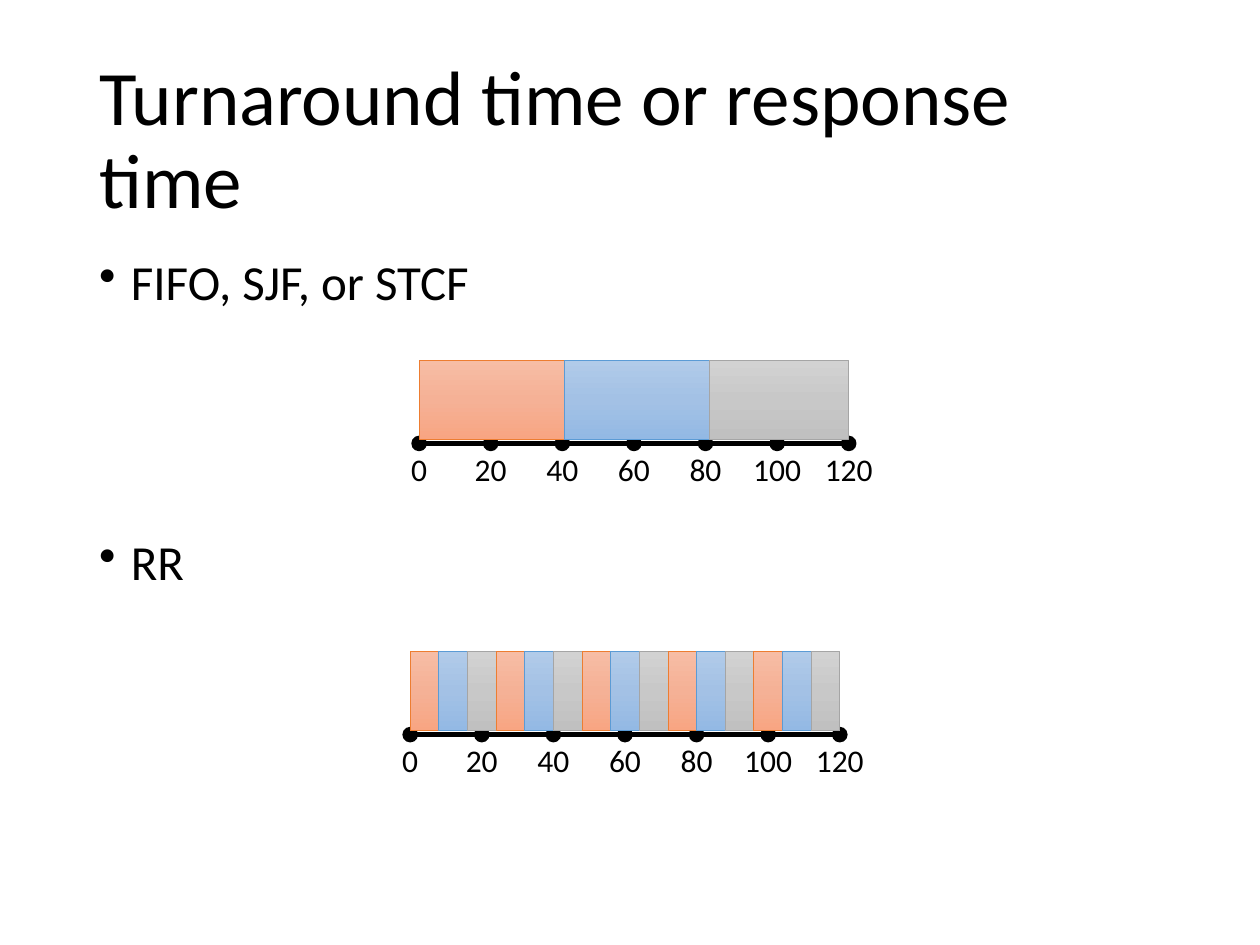
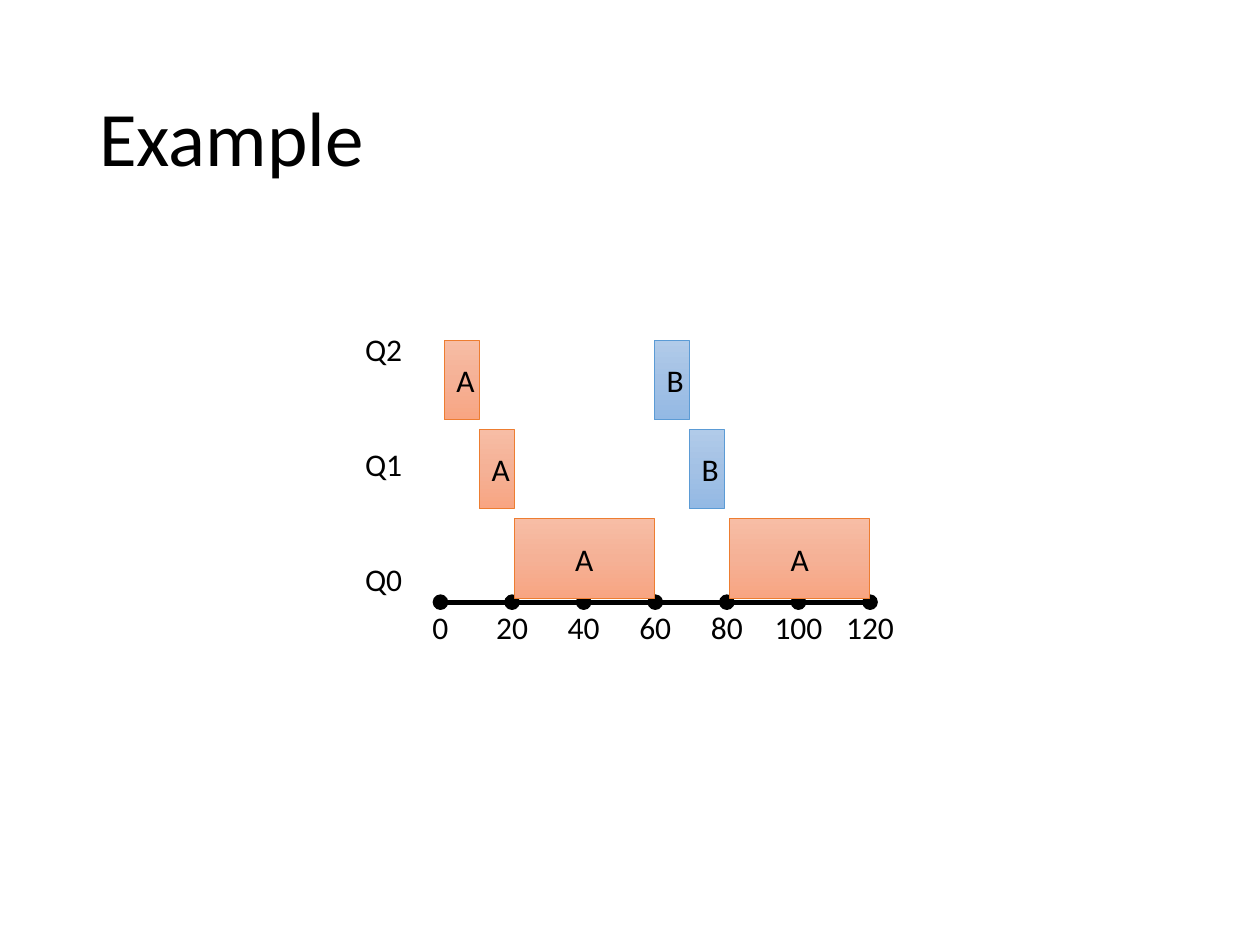
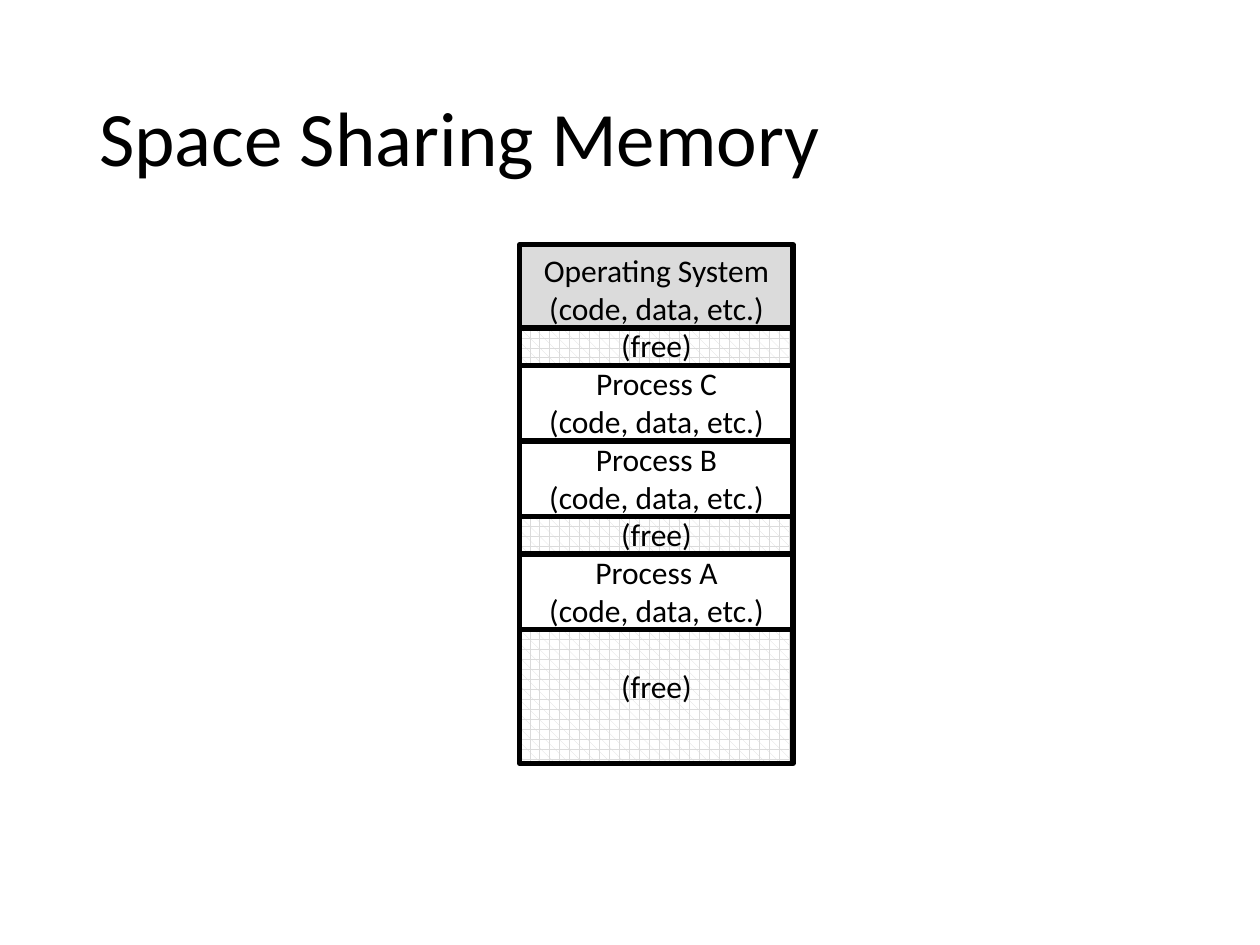
from copy import deepcopy

from lxml.etree import SubElement
from pptx import Presentation
from pptx.dml.color import RGBColor
from pptx.enum.dml import MSO_PATTERN
from pptx.enum.shapes import MSO_CONNECTOR, MSO_SHAPE
from pptx.enum.text import MSO_ANCHOR, PP_ALIGN
from pptx.oxml.ns import qn
from pptx.util import Cm, Pt

FONT = "Calibri"
BLACK = RGBColor(0x00, 0x00, 0x00)
WHITE = RGBColor(0xFF, 0xFF, 0xFF)
LIGHT_GREY = RGBColor(0xDB, 0xDB, 0xDB)
STEEL = RGBColor(0x43, 0x73, 0x9E)
ORANGE_EDGE = RGBColor(0xED, 0x7D, 0x31)
BLUE_EDGE = RGBColor(0x5B, 0x9B, 0xD5)
GREY_EDGE = RGBColor(0xA5, 0xA5, 0xA5)
ORANGE_SHADES = (RGBColor(0xF7, 0xBD, 0xA5), RGBColor(0xF5, 0xB1, 0x96), RGBColor(0xF8, 0xA5, 0x82))
BLUE_SHADES = (RGBColor(0xB1, 0xCB, 0xE9), RGBColor(0xA3, 0xC1, 0xE5), RGBColor(0x93, 0xB9, 0xE4))
GREY_SHADES = (RGBColor(0xD2, 0xD2, 0xD2), RGBColor(0xC8, 0xC8, 0xC8), RGBColor(0xC0, 0xC0, 0xC0))
JOB_STYLES = {
    "A": (ORANGE_SHADES, ORANGE_EDGE),
    "B": (BLUE_SHADES, BLUE_EDGE),
    "C": (GREY_SHADES, GREY_EDGE),
}

TITLES = ("Turnaround time or response time", "Example", "Space Sharing Memory")
POLICIES = [("FIFO, SJF, or STCF", 10), ("RR", 130)]
TICKS = (0, 20, 40, 60, 80, 100, 120)

# job, start, duration, queue
RUN_TO_END = [("A", 0, 40.5, 0), ("B", 40.5, 40.5, 0), ("C", 81, 39, 0)]
SLICE = 8
ROUND_ROBIN = [("ABC"[i % 3], i * SLICE, SLICE, 0) for i in range(15)]
QUEUES = [("Q2", 0), ("Q1", 44), ("Q0", 44)]
QUEUE_RUNS = [
    ("A", 1, 9.8, 2), ("A", 10.8, 9.8, 1), ("A", 20.6, 39.1, 0),
    ("B", 59.7, 9.8, 2), ("B", 69.5, 9.8, 1), ("A", 80.8, 39.1, 0),
]

CONTENTS = "(code, data, etc.)"
MEMORY = [
    ("system", 1.68, [("Operating System", 0), (CONTENTS, 0)]),
    ("free", 0.76, [("(free)", 0)]),
    ("process", 1.52, [("Process C", 0), (CONTENTS, 0)]),
    ("process", 1.52, [("Process B", 0), (CONTENTS, 0)]),
    ("free", 0.76, [("(free)", 0)]),
    ("process", 1.52, [("Process A", 0), (CONTENTS, 0)]),
    ("free", 2.7, [("(free)", 22)]),
]

AXIS_LENGTH = 8.94
DOT = 0.28
TICK_GAP = (AXIS_LENGTH - DOT) / (len(TICKS) - 1)
UNIT = TICK_GAP / 20
BAR_HEIGHT = 1.6
BAR_RISE = 1.68
QUEUE_GAP = 1.8
MEMORY_LEFT, MEMORY_TOP, MEMORY_WIDTH = 10.48, 4.93, 5.51


def write(frame, lines, size=18, align=PP_ALIGN.LEFT, anchor=MSO_ANCHOR.TOP,
          wrap=False, spacing=None, bullet=None):
    frame.word_wrap = wrap
    frame.vertical_anchor = anchor
    for i, (text, space) in enumerate(lines):
        paragraph = frame.paragraphs[0] if i == 0 else frame.add_paragraph()
        paragraph.alignment = align
        paragraph.space_before = Pt(space)
        if spacing:
            paragraph.line_spacing = spacing
        if bullet:
            props = paragraph._p.get_or_add_pPr()
            props.set("marL", str(Cm(0.64)))
            props.set("indent", str(-Cm(0.64)))
            SubElement(props, qn("a:buChar"), char=bullet)
        run = paragraph.add_run()
        run.text = text
        run.font.name = FONT
        run.font.size = Pt(size)
        run.font.color.rgb = BLACK


def add_text(shapes, box, lines, **style):
    write(shapes.add_textbox(*map(Cm, box)).text_frame, lines, **style)


def add_block(shapes, kind, box, edge, weight, fill=None):
    block = shapes.add_shape(kind, *map(Cm, box))
    block.shadow.inherit = False
    block.line.color.rgb = edge
    block.line.width = Pt(weight)
    if fill is None:
        block.fill.background()
    else:
        block.fill.solid()
        block.fill.fore_color.rgb = fill
    return block


def add_rule(shapes, left, top, length):
    rule = shapes.add_connector(
        MSO_CONNECTOR.STRAIGHT, Cm(left), Cm(top), Cm(left + length), Cm(top))
    rule.line.color.rgb = BLACK
    rule.line.width = Pt(3)
    SubElement(rule._element.spPr, qn("a:effectLst"))


def shade(block, shades):
    block.fill.gradient()
    block.fill.gradient_angle = 270
    stop_list = next(block._element.spPr.iter(qn("a:gsLst")))
    stop_list.append(deepcopy(stop_list[0]))
    for stop, colour, position in zip(block.fill.gradient_stops, shades, (0, 0.5, 1)):
        stop.color.rgb = colour
        stop.position = position


def add_timeline(slide, left, top, runs, labelled=False):
    shapes = slide.shapes.add_group_shape().shapes
    origin = left + DOT / 2
    add_rule(shapes, left, top, AXIS_LENGTH)
    for i, tick in enumerate(TICKS):
        centre = origin + i * TICK_GAP
        add_block(shapes, MSO_SHAPE.OVAL, (centre - DOT / 2, top - DOT / 2, DOT, DOT),
                  BLACK, 1, BLACK)
        width = 0.51 + 0.33 * len(str(tick))
        add_text(shapes, (centre - width / 2, top, width, 1.03), [(str(tick), 0)],
                 align=PP_ALIGN.CENTER)
    for job, start, duration, queue in runs:
        shades, edge = JOB_STYLES[job]
        box = (origin + start * UNIT, top - BAR_RISE - queue * QUEUE_GAP,
               duration * UNIT, BAR_HEIGHT)
        bar = add_block(shapes, MSO_SHAPE.RECTANGLE, box, edge, 0.5)
        shade(bar, shades)
        if labelled:
            write(bar.text_frame, [(job, 0)], align=PP_ALIGN.CENTER,
                  anchor=MSO_ANCHOR.MIDDLE, wrap=True)


def add_memory(shapes):
    top = MEMORY_TOP
    edges = []
    for kind, height, _ in MEMORY:
        box = (MEMORY_LEFT, top, MEMORY_WIDTH, height)
        if kind != "process":
            region = add_block(shapes, MSO_SHAPE.RECTANGLE, box, STEEL, 1, LIGHT_GREY)
            if kind == "free":
                region.fill.patterned()
                region.fill.pattern = MSO_PATTERN.PLAID
                region.fill.fore_color.rgb = LIGHT_GREY
                region.fill.back_color.rgb = WHITE
        top += height
        edges.append(top)
    add_block(shapes, MSO_SHAPE.RECTANGLE,
              (MEMORY_LEFT, MEMORY_TOP, MEMORY_WIDTH, top - MEMORY_TOP), BLACK, 3)
    add_text(shapes, (MEMORY_LEFT + 0.2, MEMORY_TOP, MEMORY_WIDTH - 0.4, 9.5),
             [line for _, _, lines in MEMORY for line in lines], align=PP_ALIGN.CENTER)
    for edge in edges[:-1]:
        add_rule(shapes, MEMORY_LEFT, edge, MEMORY_WIDTH)


deck = Presentation()
deck.slide_width, deck.slide_height = Cm(25.4), Cm(19.05)


def add_slide(title):
    slide = deck.slides.add_slide(deck.slide_layouts[6])
    add_text(slide.shapes, (1.75, 1.02, 21.9, 3.68), [(title, 0)], size=44,
             anchor=MSO_ANCHOR.MIDDLE, wrap=True, spacing=0.9)
    return slide


policies, example, memory = [add_slide(title) for title in TITLES]

add_text(policies.shapes, (1.75, 5.08, 21.9, 12.09), POLICIES, size=28,
         wrap=True, spacing=0.9, bullet="•")
add_timeline(policies, 8.31, 8.94, RUN_TO_END)
add_timeline(policies, 8.13, 14.81, ROUND_ROBIN)

add_timeline(example, 8.74, 12.14, QUEUE_RUNS, labelled=True)
add_text(example.shapes, (7.11, 6.53, 1.27, 5.64), QUEUES)

add_memory(memory.shapes)

deck.save("out.pptx")
